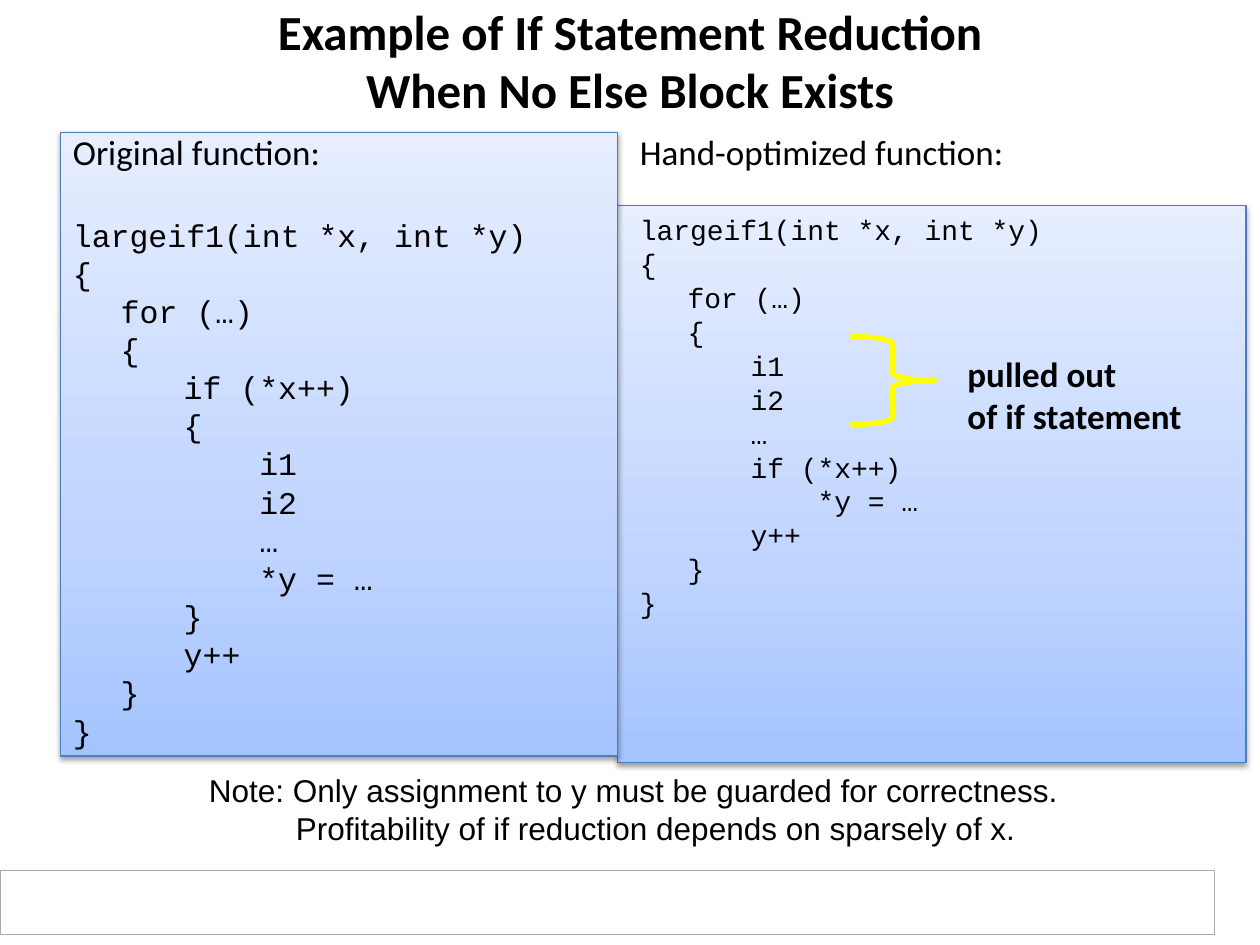
from copy import deepcopy
from lxml import etree
from pptx import Presentation
from pptx.dml.color import RGBColor
from pptx.enum.shapes import MSO_SHAPE
from pptx.enum.text import MSO_ANCHOR, PP_ALIGN
from pptx.oxml.ns import qn
from pptx.util import Inches, Pt

COLORS = {
    "text": "000000",
    "white": "FFFFFF",
    "footer_line": "AAAAAA",
    "panel_line": "4B7EBC",
    "brace": "FFFF00",
    "shadow": "000000",
}
PANEL_STOPS = [(0, "A4C4FF"), (35, "BFD4FF"), (100, "E6EEFF")]

ORIGINAL_CODE = """largeif1(int *x, int *y)
{
\tfor (…)
\t{
\t\tif (*x++)
\t\t{
\t\t    i1
\t\t    i2
\t\t    …
\t\t    *y = …
\t\t}
\t\ty++
\t}
}"""

OPTIMIZED_CODE = """largeif1(int *x, int *y)
{
\tfor (…)
\t{
\t\ti1
\t\ti2
\t\t…
\t\tif (*x++)
\t\t    *y = …
\t\ty++
\t}
}"""


def rgb(name):
    return RGBColor.from_string(COLORS[name])


def inches(box):
    return [Inches(v) for v in box]


def add_paragraph(tf, text, size=18, font="Calibri", bold=False, align=PP_ALIGN.LEFT,
                  before=0, spacing=None, margin=0, indent=0):
    p = tf.add_paragraph() if tf.text else tf.paragraphs[0]
    p.text = text
    p.alignment = align
    p.space_before = Pt(before)
    if spacing:
        p.line_spacing = spacing
    pPr = p._p.get_or_add_pPr()
    pPr.set("marL", str(Inches(margin)))
    pPr.set("indent", str(Inches(indent)))
    for r in p.runs:
        r.font.size = Pt(size)
        r.font.name = font
        r.font.bold = bold
        r.font.color.rgb = rgb("text")
    return p


def add_text_box(s, box, wrap=True, anchor=MSO_ANCHOR.TOP):
    sp = s.shapes.add_textbox(*inches(box))
    tf = sp.text_frame
    tf.word_wrap = wrap
    tf.vertical_anchor = anchor
    return sp


def add_outlined(s, kind, box, line, width):
    sp = s.shapes.add_shape(kind, *inches(box))
    sp.shadow.inherit = False
    sp.line.color.rgb = rgb(line)
    sp.line.width = Pt(width)
    return sp


def add_footer(s, box):
    sp = add_outlined(s, MSO_SHAPE.RECTANGLE, box, "footer_line", 0.75)
    sp.fill.solid()
    sp.fill.fore_color.rgb = rgb("white")


def add_panel(s, box):
    sp = add_outlined(s, MSO_SHAPE.RECTANGLE, box, "panel_line", 0.75)
    sp.fill.gradient()
    sp.fill.gradient_angle = 90
    spPr = sp.element.spPr
    stops = spPr.find(".//" + qn("a:gsLst"))
    stops.append(deepcopy(stops[-1]))
    for stop, (position, color) in zip(sp.fill.gradient_stops, PANEL_STOPS):
        stop.position = position / 100
        stop.color.rgb = RGBColor.from_string(color)
    shadow = etree.SubElement(
        spPr.find(qn("a:effectLst")), qn("a:outerShdw"), blurRad=str(Pt(3.1)),
        dist=str(Pt(1.6)), dir="5400000", rotWithShape="0")
    color = etree.SubElement(shadow, qn("a:srgbClr"), val=COLORS["shadow"])
    etree.SubElement(color, qn("a:alpha"), val="38000")
    return sp


def fill_code_column(sp, heading, code, size, gap):
    tf = sp.text_frame
    tf.word_wrap = True
    tf.vertical_anchor = MSO_ANCHOR.TOP
    layout = {"spacing": 0.8, "margin": 0.38, "indent": -0.38}
    add_paragraph(tf, heading, size=20, **layout)
    for i, line in enumerate(code.split("\n")):
        before = size / 4 + (0 if i else gap)
        add_paragraph(tf, line, size=size, font="Courier New", before=before, **layout)


def add_title(s, box):
    sp = add_text_box(s, box, anchor=MSO_ANCHOR.MIDDLE)
    add_paragraph(sp.text_frame, "Example of If Statement Reduction\vWhen No Else Block Exists",
                  size=28, bold=True, align=PP_ALIGN.CENTER)


def add_note(s, box):
    tf = add_text_box(s, box, wrap=False).text_frame
    add_paragraph(tf, "Note: Only assignment to y must be guarded for correctness.", font="Arial")
    add_paragraph(tf, "Profitability of if reduction depends on sparsely of x.",
                  font="Arial", margin=0.69)


def add_callout(s, box):
    left, top, width, height = box
    brace = add_outlined(s, MSO_SHAPE.RIGHT_BRACE, (left, top, 0.67, 0.7), "brace", 3)
    brace.fill.background()
    brace.adjustments[0] = 0.09
    label = (left + 0.83, top + 0.08, width - 0.83, height - 0.08)
    tf = add_text_box(s, label, wrap=False).text_frame
    for line in ("pulled out", "of if statement"):
        add_paragraph(tf, line, size=20, bold=True)


def main():
    prs = Presentation()
    prs.slide_width, prs.slide_height = Inches(10), Inches(7.5)
    s = prs.slides.add_slide(prs.slide_layouts[6])
    add_footer(s, (0, 6.91, 9.64, 0.51))
    add_panel(s, (4.9, 1.63, 4.99, 4.42))
    add_title(s, (0, 0, 10, 0.95))
    original = add_panel(s, (0.48, 1.05, 4.42, 4.95))
    fill_code_column(original, "Original function:", ORIGINAL_CODE, 18, 24.5)
    optimized = add_text_box(s, (4.98, 1.05, 4.42, 4.95))
    fill_code_column(optimized, "Hand-optimized function:", OPTIMIZED_CODE, 16, 23)
    add_note(s, (1.56, 6.07, 6.94, 0.7))
    add_callout(s, (6.75, 2.67, 2.74, 0.85))
    prs.save("out.pptx")


if __name__ == "__main__":
    main()
